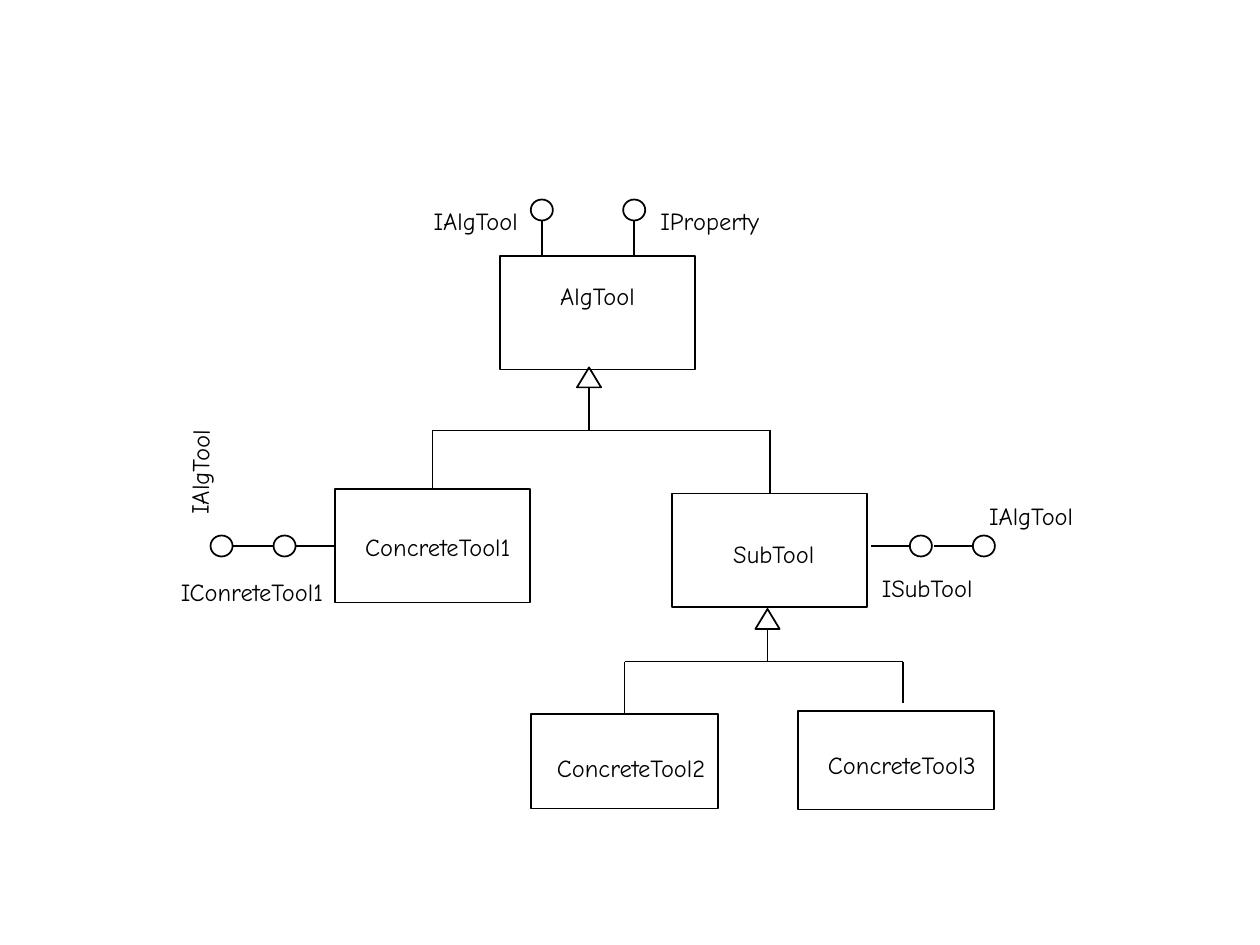
from dataclasses import dataclass
from lxml.etree import SubElement
from pptx import Presentation
from pptx.dml.color import RGBColor
from pptx.enum.shapes import MSO_CONNECTOR, MSO_SHAPE
from pptx.enum.text import MSO_ANCHOR, PP_ALIGN
from pptx.oxml.ns import qn
from pptx.util import Inches, Pt


@dataclass(frozen=True)
class Theme:
    ink: RGBColor = RGBColor(0, 0, 0)
    font: str = "Comic Neue"
    size: float = 14
    bold: float = 1
    thin: float = 0.75


THEME = Theme()
COLS, ROWS = 120, 90  # grid cells of one twelfth of an inch
WIDE, HIGH = Inches(10), Inches(7.5)
TOP, LEFT = 0, 1  # connection sites of a box
DISC = (2.1, 2)
TIP = (2.3, 1.9)
LABEL = (20.5, 4.1)

# name: (left, top, width, height), centre of the name
BOXES = {
    "AlgTool": ((47.6, 24.4, 18.6, 10.8), (56.9, 28.2)),
    "SubTool": ((64, 47, 18.6, 10.8), (73.7, 52.7)),
    "ConcreteTool1": ((31.9, 46.6, 18.6, 10.8), (41.7, 52.1)),
    "ConcreteTool2": ((50.6, 68, 17.8, 9), (60.1, 73.1)),
    "ConcreteTool3": ((76, 67.7, 18.7, 9.4), (85.9, 72.8)),
}
# interface name, centre, rotation
LABELS = [
    ("IAlgTool", (45.3, 21), 0),
    ("IProperty", (67.6, 21), 0),
    ("IAlgTool", (19, 45), 270.9),
    ("IConreteTool1", (24, 56.4), 0),
    ("ISubTool", (88.3, 56), 0),
    ("IAlgTool", (98.2, 49.1), 0),
]
# disc centre, end of the stalk, box joined at its left side
PORTS = [
    ((51.6, 20), (51.6, 24.4), None),
    ((60.4, 20), (60.4, 24.4), None),
    ((27.1, 52), (31.9, 52), "ConcreteTool1"),
    ((21.1, 52), (26, 52), None),
    ((87.7, 52), (83, 52), None),
    ((93.7, 52), (89, 52), None),
]
# top of the arrow tip, height of the bar, line width,
# drops: x, y of the lower end, box joined at its top
TREES = [
    ((56.1, 35), 41, THEME.bold,
     [(41.2, 46.6, "ConcreteTool1"), (73.3, 47, "SubTool")]),
    ((73.1, 58), 63, THEME.thin,
     [(59.5, 68, "ConcreteTool2"), (86, 67, None)]),
]

deck = Presentation()
deck.slide_width, deck.slide_height = WIDE, HIGH
shapes = deck.slides.add_slide(deck.slide_layouts[6]).shapes


def place(x, y):
    return round(x * WIDE / COLS), round(y * HIGH / ROWS)


def around(mid, size):
    """Left, top, width and height of an area centred on mid."""
    return (mid[0] - size[0] / 2, mid[1] - size[1] / 2, *size)


def outline(kind, area):
    shape = shapes.add_shape(kind, *place(*area[:2]), *place(*area[2:]))
    shape.shadow.inherit = False
    shape.fill.background()
    shape.line.color.rgb = THEME.ink
    shape.line.width = Pt(THEME.bold)
    return shape


def link(start, end, width, box=None, site=TOP):
    line = shapes.add_connector(MSO_CONNECTOR.STRAIGHT, *place(*start), *place(*end))
    line.line.color.rgb = THEME.ink
    line.line.width = Pt(width)
    if box is not None:
        line.end_connect(box, site)
    SubElement(line._element.spPr, qn("a:effectLst"))


def write(text, mid, turn=0):
    area = around(mid, LABEL)
    label = shapes.add_textbox(*place(*area[:2]), *place(*area[2:]))
    label.rotation = turn
    frame = label.text_frame
    frame.word_wrap = True
    frame.vertical_anchor = MSO_ANCHOR.MIDDLE
    frame.text = text
    para = frame.paragraphs[0]
    para.alignment = PP_ALIGN.CENTER
    font = para.runs[0].font
    font.name, font.size = THEME.font, Pt(THEME.size)
    font.color.rgb = THEME.ink


def stalk(mid, end):
    """Point on the disc's edge that faces the end of the stalk."""
    return tuple(m + (e > m) * d / 2 - (e < m) * d / 2
                 for m, e, d in zip(mid, end, DISC))


boxes = {}
for name, (area, mid) in BOXES.items():
    boxes[name] = outline(MSO_SHAPE.RECTANGLE, area)
    write(name, mid)

for label in LABELS:
    write(*label)

for mid, end, name in PORTS:
    outline(MSO_SHAPE.OVAL, around(mid, DISC))
    link(stalk(mid, end), end, THEME.bold, boxes.get(name), LEFT)

for (x, y), bar, width, drops in TREES:
    foot = y + TIP[1]
    outline(MSO_SHAPE.ISOSCELES_TRIANGLE, (x - TIP[0] / 2, y, *TIP))
    link((x, foot), (x, bar), THEME.thin)
    link((drops[0][0], bar), (drops[-1][0], bar), width)
    for col, low, name in drops:
        link((col, bar), (col, low), width, boxes.get(name))

deck.save("out.pptx")
